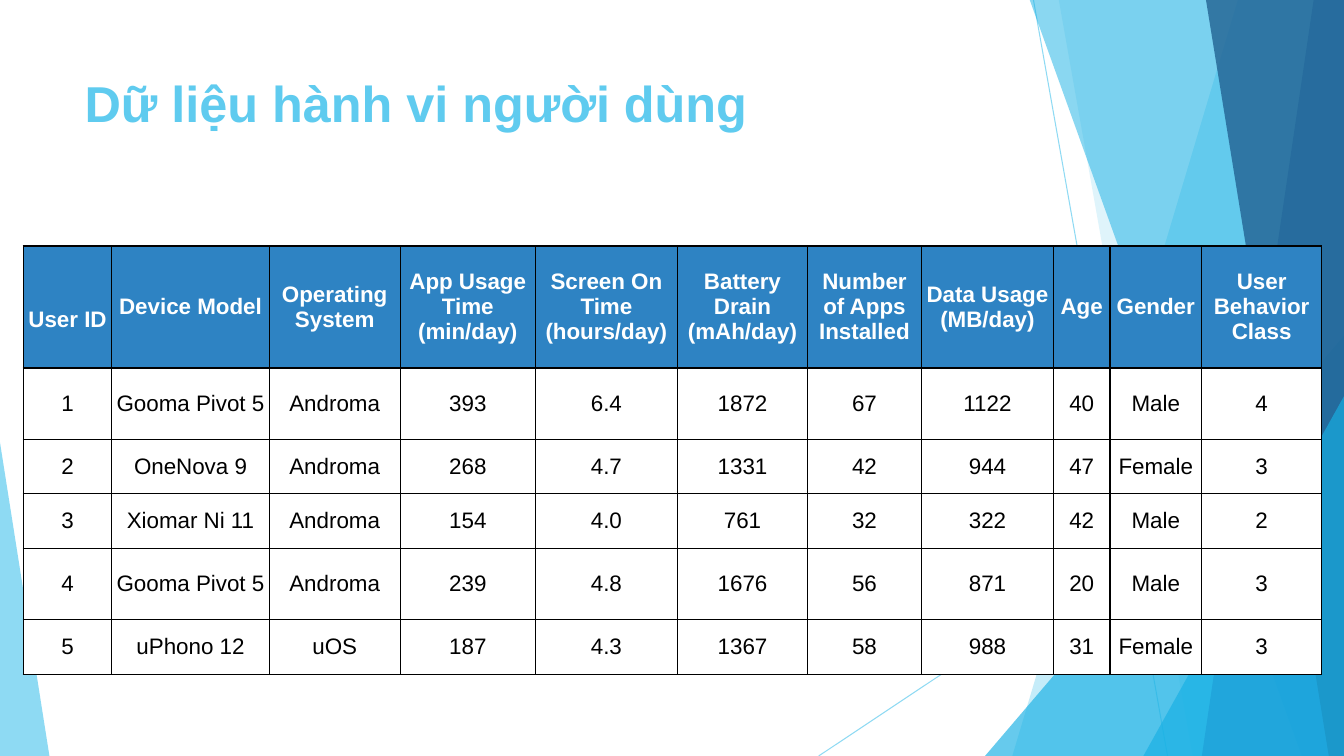
from dataclasses import dataclass

from lxml.etree import SubElement as sub
from pptx import Presentation
from pptx.dml.color import RGBColor as Rgb
from pptx.enum.shapes import MSO_CONNECTOR as Link, MSO_SHAPE as Geo
from pptx.enum.text import MSO_ANCHOR as Anchor, PP_ALIGN as Align
from pptx.oxml.ns import qn
from pptx.util import Pt

PX = 9144


@dataclass(frozen=True)
class Theme:
    """Colours, type sizes and font of the deck."""
    sky: str = "5FCBEF"
    cyan: str = "17B0E4"
    blue: str = "2E83C3"
    navy: str = "226292"
    white: str = "FFFFFF"
    black: str = "000000"
    font: str = "Arial"
    title: int = 36
    body: int = 16


T = Theme()
HEAD = ["User ID", "Device Model", "Operating System", "App Usage Time (min/day)",
        "Screen On Time (hours/day)", "Battery Drain (mAh/day)",
        "Number of Apps Installed", "Data Usage (MB/day)", "Age", "Gender",
        "User Behavior Class"]
USERS = [
    ["1", "Gooma Pivot 5", "Androma", "393", "6.4", "1872", "67", "1122", "40", "Male", "4"],
    ["2", "OneNova 9", "Androma", "268", "4.7", "1331", "42", "944", "47", "Female", "3"],
    ["3", "Xiomar Ni 11", "Androma", "154", "4.0", "761", "32", "322", "42", "Male", "2"],
    ["4", "Gooma Pivot 5", "Androma", "239", "4.8", "1676", "56", "871", "20", "Male", "3"],
    ["5", "uPhono 12", "uOS", "187", "4.3", "1367", "58", "988", "31", "Female", "3"],
]
COLS = [88, 156, 130, 134, 141, 129, 113, 131, 56, 91, 119]
ROWS = [121, 71, 54, 54, 71, 54]


def px(*vals):
    """Turn px lengths into EMU."""
    return [v * PX for v in vals]


def fade(shape, pct):
    """Set the opacity of every colour in a shape."""
    for clr in shape.element.spPr.iter(qn("a:srgbClr")):
        sub(clr, qn("a:alpha"), val=str(pct * 1000))


def paint(shape, color, pct):
    """Give a shape a see-through fill with no outline."""
    shape.shadow.inherit = False
    shape.fill.solid()
    shape.fill.fore_color.rgb = Rgb.from_string(color)
    shape.line.fill.background()
    fade(shape, pct)


def write(para, text, size, color, bold):
    """Add one styled run."""
    run = para.add_run()
    run.text = text
    font = run.font
    font.name, font.size, font.bold = T.font, Pt(size), bold
    font.color.rgb = Rgb.from_string(color)


def ray(slide, x1, y1, x2, y2):
    """Draw one thin line of the backdrop."""
    line = slide.shapes.add_connector(Link.STRAIGHT, *px(x1, y1, x2, y2))
    line.line.color.rgb = Rgb.from_string(T.sky)
    line.line.width = Pt(0.75)
    fade(line, 70)
    sub(line.element.spPr, qn("a:effectLst"))


def band(slide, box, top, foot, color, pct):
    """Draw a slanted band that runs to the right edge of the box."""
    x, y, w, h = box
    form = slide.shapes.build_freeform(x + top, y - 1, scale=PX)
    form.add_line_segments([(x + w, y - 1), (x + w, y + h), (x + foot, y + h)])
    paint(form.convert_to_shape(), color, pct)


def wedge(slide, left, top, width, height, tip, color, pct):
    """Draw a right triangle with its tip at the given share of its width."""
    tri = slide.shapes.add_shape(Geo.ISOSCELES_TRIANGLE, *px(left, top, width, height))
    tri.adjustments[0] = tip
    paint(tri, color, pct)


def backdrop(slide, box):
    """Layer the facets along both sides of the slide."""
    x, y, w, h = box
    right, foot = x + w, y + h
    ray(slide, x + 1025, y, x + 1158, foot)
    ray(slide, right, y + 403, x + 812, foot)
    band(slide, box, 1228, 1004, T.sky, 36)
    band(slide, box, 1050, 1183, T.sky, 20)
    wedge(slide, right - 356, foot - 417, 356, 417, 1, T.cyan, 66)
    band(slide, box, 1021, 1291, T.cyan, 50)
    band(slide, box, 1303, 1192, T.blue, 70)
    band(slide, box, 1196, 1318, T.navy, 80)
    wedge(slide, right - 199, foot - 357, 199, 357, 1, T.cyan, 66)
    wedge(slide, x, foot - 311, 49, 311, 0, T.sky, 70)


def title(slide, box, text):
    """Write the slide title."""
    frame = slide.shapes.add_textbox(*px(*box)).text_frame
    frame.word_wrap = True
    write(frame.paragraphs[0], text, T.title, T.sky, True)


def edge(cell):
    """Rule all four sides of a cell."""
    props = cell._tc.get_or_add_tcPr()
    for side in "LRTB":
        line = sub(props, qn(f"a:ln{side}"), w=str(Pt(1)))
        sub(sub(line, qn("a:solidFill")), qn("a:srgbClr"), val=T.black)


def fill(cell, text, head):
    """Style one cell and write its text."""
    edge(cell)
    cell.fill.solid()
    cell.fill.fore_color.rgb = Rgb.from_string(T.blue if head else T.white)
    cell.vertical_anchor = Anchor.MIDDLE
    cell.margin_left = cell.margin_right = 3 * PX
    cell.margin_top = cell.margin_bottom = 2 * PX
    para = cell.text_frame.paragraphs[0]
    para.alignment = Align.CENTER
    write(para, text, T.body, T.white if head else T.black, head)


def table(slide, box):
    """Build the table of user data."""
    grid = slide.shapes.add_table(len(ROWS), len(COLS), *px(*box)).table
    for col, wide in zip(grid.columns, COLS):
        col.width = wide * PX
    for row, tall in zip(grid.rows, ROWS):
        row.height = tall * PX
    for r, vals in enumerate([HEAD] + USERS):
        for c, text in enumerate(vals):
            fill(grid.cell(r, c), text, r == 0)
    grid.cell(0, 0).margin_top = 27 * PX


def main():
    """Build and save the slide."""
    deck = Presentation()
    deck.slide_width, deck.slide_height = px(1333, 750)
    slide = deck.slides.add_slide(deck.slide_layouts[6])
    backdrop(slide, (0, 0, 1333, 750))
    title(slide, (74, 67, 940, 144), "Dữ liệu hành vi người dùng")
    table(slide, (23, 244, sum(COLS), sum(ROWS)))
    deck.save("out.pptx")


if __name__ == "__main__":
    main()
